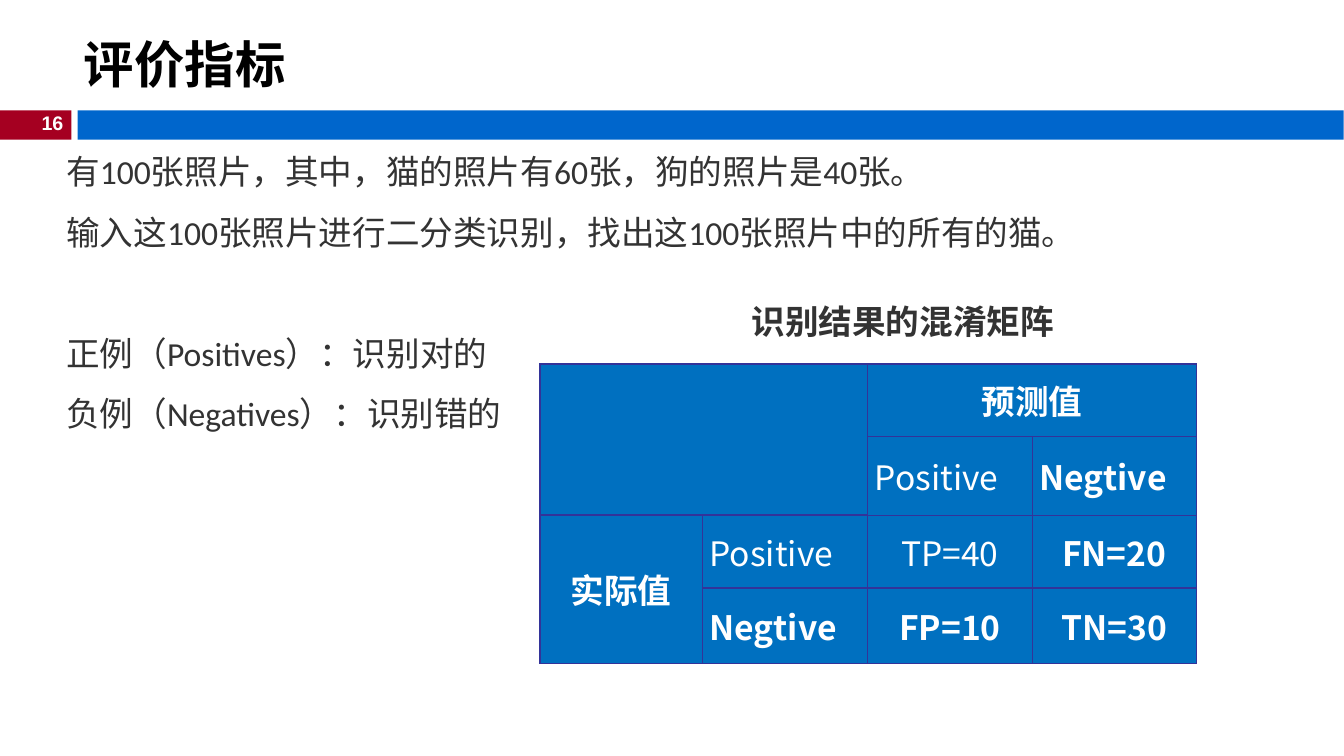
"""Build the evaluation metrics slide with its confusion matrix."""
from lxml import etree
from pptx import Presentation
from pptx import util as u
from pptx.dml.color import RGBColor
from pptx.enum import shapes, text
from pptx.oxml.ns import qn

CJK = "Noto Sans CJK SC"
GRAY, WHITE, CELL, EDGE = "333333", "FFFFFF", "0070C0", "333399"
TITLE = "评价指标"
PAGE = "16"
CAPTION = "识别结果的混淆矩阵"
BODY = [
    ("有100张照片，其中，猫的照片有60张，狗的照片是40张。", 0),
    ("输入这100张照片进行二分类识别，找出这100张照片中的所有的猫。", 0),
    ("正例（Positives）：识别对的", 43),
    ("负例（Negatives）：识别错的", 0),
]
BARS = [(0, 1.8, "A50021"), (1.96, 31.9, "0066CC")]
GRID = [
    ["", "", "预测值", ""],
    ["", "", "Positive", "Negtive"],
    ["实际值", "Positive", "TP=40", "FN=20"],
    ["", "Negtive", "FP=10", "TN=30"],
]
COLS = [4.09, 4.17, 4.14, 4.14]
ROWS = [1.83, 1.98, 1.83, 1.9]
SPANS = [((0, 0), (1, 1)), ((0, 2), (0, 3)), ((2, 0), (3, 0))]
LIGHT = {(1, 2), (2, 1), (2, 2)}
LEFT = {(1, 2), (1, 3), (2, 1), (3, 1)}
THICK = {(2, 0), (2, 1), (3, 1), (3, 2), (3, 3)}


def color(code):
    return RGBColor.from_string(code)


def add_run(para, words, size, font, code, bold=False):
    run = para.add_run()
    run.text = words
    face = run.font
    face.size, face.name, face.bold = u.Pt(size), font, bold
    face.color.rgb = color(code)
    east = etree.SubElement(run._r.get_or_add_rPr(), qn("a:ea"))
    east.set("typeface", CJK)


def add_box(slide, *place, wrap=False):
    frame = slide.shapes.add_textbox(*map(u.Cm, place)).text_frame
    frame.word_wrap = wrap
    return frame


def add_edges(cell, row, col):
    props = cell._tc.get_or_add_tcPr()
    wide = {"T": (row, col) in THICK, "B": (row + 1, col) in THICK}
    for side in "LRTB":
        width = u.Pt(2 if wide.get(side) else 1)
        line = etree.SubElement(props, qn("a:ln" + side), w=str(width))
        fill = etree.SubElement(line, qn("a:solidFill"))
        etree.SubElement(fill, qn("a:srgbClr"), val=EDGE)


def add_matrix(slide):
    place = map(u.Cm, (13.61, 9.17, sum(COLS), sum(ROWS)))
    table = slide.shapes.add_table(len(ROWS), len(COLS), *place).table
    for col, width in zip(table.columns, COLS):
        col.width = u.Cm(width)
    for row, height in zip(table.rows, ROWS):
        row.height = u.Cm(height)
    for i, line in enumerate(GRID):
        for j, words in enumerate(line):
            cell = table.cell(i, j)
            add_edges(cell, i, j)
            cell.fill.solid()
            cell.fill.fore_color.rgb = color(CELL)
            cell.margin_left = cell.margin_right = u.Cm(0.18)
            cell.margin_top = cell.margin_bottom = 0
            cell.vertical_anchor = text.MSO_ANCHOR.MIDDLE
            if words:
                para = cell.text_frame.paragraphs[0]
                align = text.PP_ALIGN
                para.alignment = align.LEFT if (i, j) in LEFT else align.CENTER
                para.space_before = para.space_after = u.Pt(1.8)
                add_run(para, words, 24, CJK, WHITE, (i, j) not in LIGHT)
    for first, last in SPANS:
        table.cell(*first).merge(table.cell(*last))


def main():
    deck = Presentation()
    deck.slide_width, deck.slide_height = u.Cm(33.87), u.Cm(19.05)
    slide = deck.slides.add_slide(deck.slide_layouts[5])

    for left, width, code in BARS:
        place = map(u.Cm, (left, 2.78, width, 0.74))
        bar = slide.shapes.add_shape(shapes.MSO_SHAPE.RECTANGLE, *place)
        bar.shadow.inherit = False
        bar.fill.solid()
        bar.fill.fore_color.rgb = color(code)
        bar.line.fill.background()

    para = add_box(slide, 0.74, 2.67, 1.11, 0.86).paragraphs[0]
    para.alignment = text.PP_ALIGN.RIGHT
    add_run(para, PAGE, 14, "Arial", WHITE, True)

    title = slide.shapes.title
    title.left, title.top = u.Cm(1.86), u.Cm(0.66)
    title.width, title.height = u.Cm(32), u.Cm(1.88)
    title.text_frame.vertical_anchor = text.MSO_ANCHOR.MIDDLE
    para = title.text_frame.paragraphs[0]
    para.alignment = text.PP_ALIGN.LEFT
    add_run(para, TITLE, 36, "Arial", "000000", True)

    frame = add_box(slide, 1.42, 3.18, 31.55, 7.8, wrap=True)
    for i, (words, gap) in enumerate(BODY):
        para = frame.add_paragraph() if i else frame.paragraphs[0]
        para.line_spacing = 1.5
        para.space_before = u.Pt(gap)
        add_run(para, words, 24, "Calibri", GRAY)

    add_matrix(slide)
    para = add_box(slide, 18.69, 7.47, 8.2, 1.27).paragraphs[0]
    add_run(para, CAPTION, 24, "Calibri", GRAY, True)
    deck.save("out.pptx")


if __name__ == "__main__":
    main()
